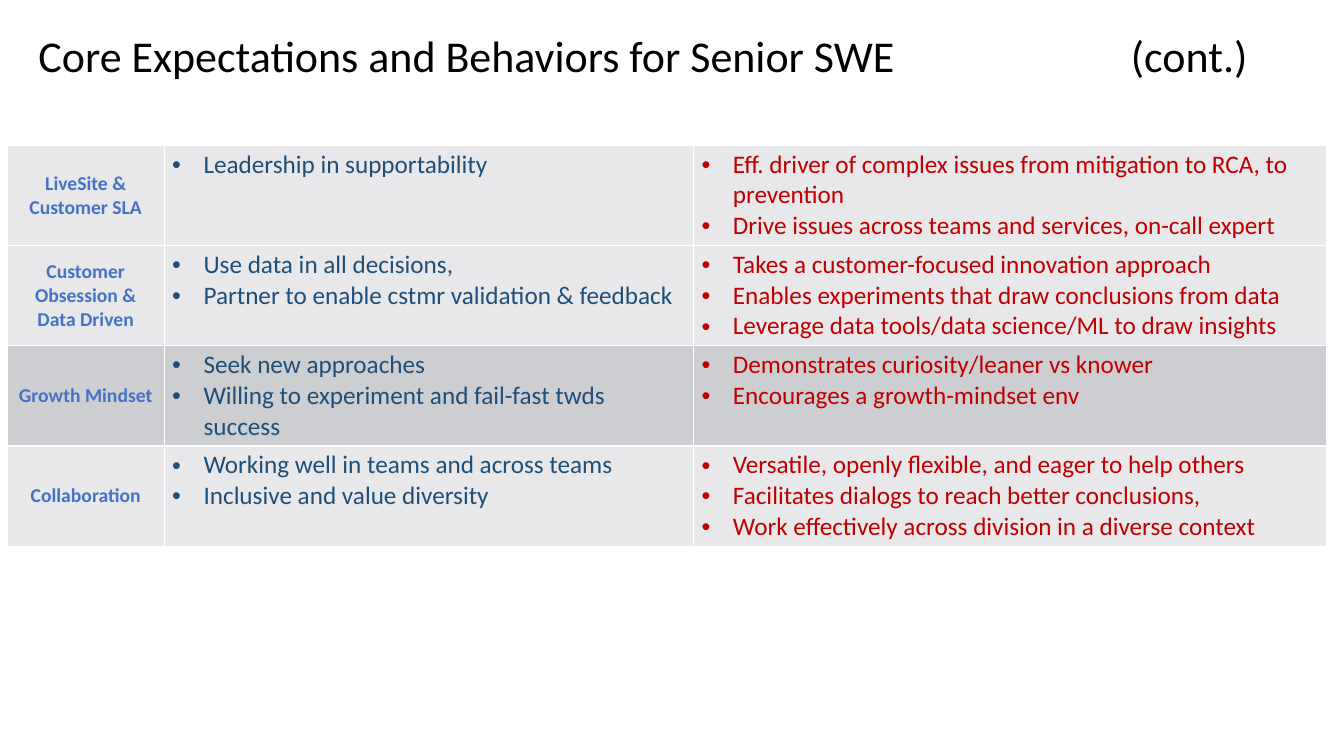
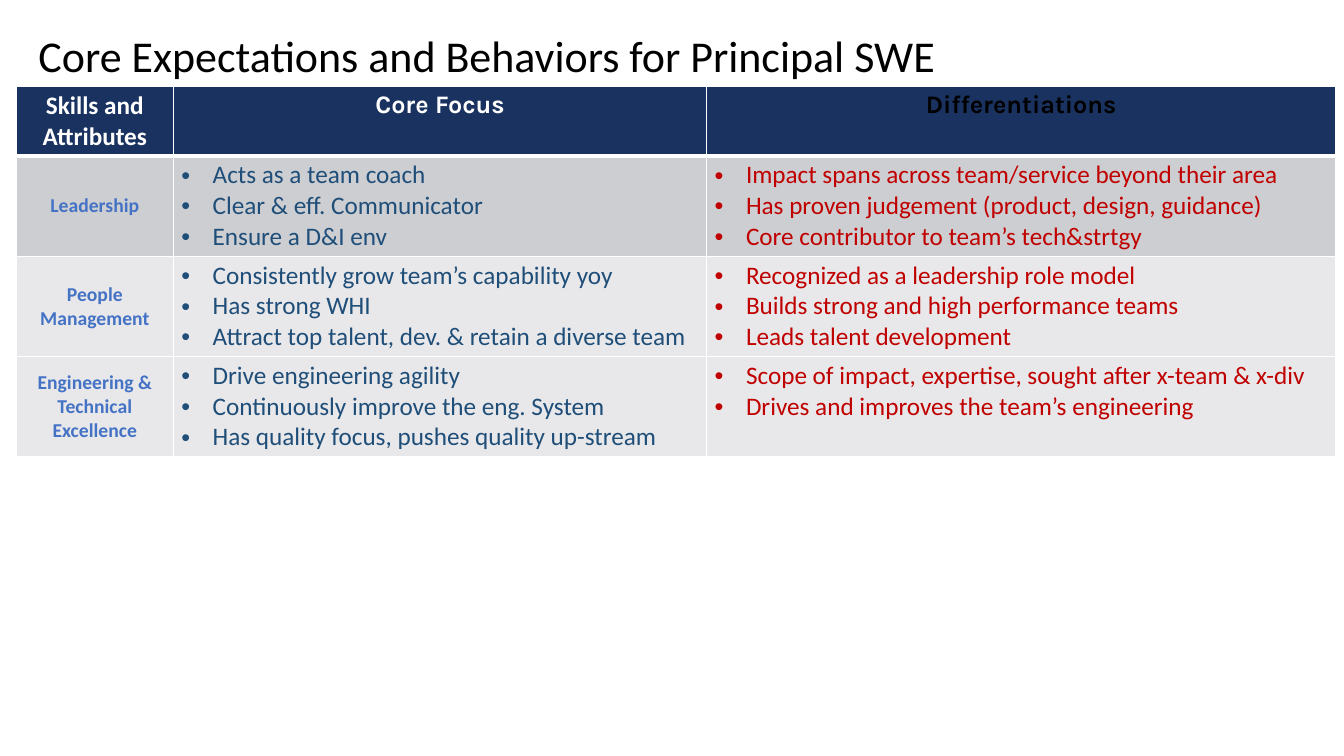
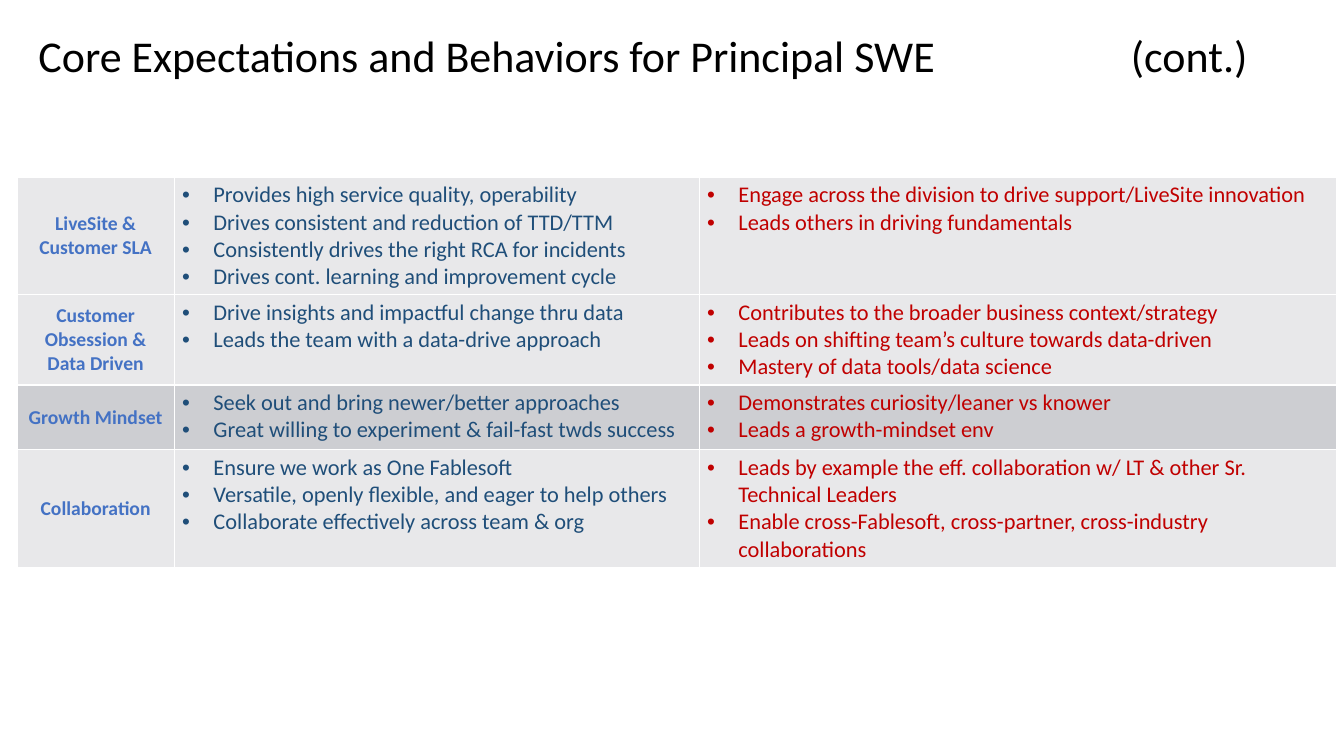
from dataclasses import dataclass

import pptx
import pptx.dml.color
import pptx.enum.text
import pptx.oxml
import pptx.oxml.ns
import pptx.presentation
import pptx.slide
import pptx.table
import pptx.text.text
import pptx.util
from lxml import etree
from pptx.util import Cm

COLORS = {
    "title": "000000",
    "navy": "1A3260",
    "white": "FFFFFF",
    "skill": "4472C4",
    "core": "1F4E79",
    "differentiation": "C00000",
    "light": "E8E8EA",
    "dark": "CDCED2",
}
BODY_FONT = "Calibri"
HEADER_FONT = "Karla"
SLIDE_WIDTH, SLIDE_HEIGHT = 33.87, 19.05
TABLE_WIDTH, SKILL_WIDTH = 33.25, 3.96
BULLET_INDENT = 0.79
CONTINUED_TAB = 27.53
CONTINUED_HEIGHTS = (1.5, 1.93, 1.63, 1.4)
HEADER_HEIGHT = 1.04
THIN, THICK = 1, 3
CENTER = pptx.enum.text.PP_ALIGN.CENTER
LEFT = pptx.enum.text.PP_ALIGN.LEFT
MIDDLE = pptx.enum.text.MSO_ANCHOR.MIDDLE
TOP = pptx.enum.text.MSO_ANCHOR.TOP


@dataclass(frozen=True)
class TextStyle:
    color: str
    size: float
    bold: bool = False
    font: str = BODY_FONT
    align: pptx.enum.text.PP_ALIGN = LEFT
    anchor: pptx.enum.text.MSO_ANCHOR = TOP
    bullet: bool = False


@dataclass(frozen=True)
class SkillRow:
    skill: list[str]
    core: list[str]
    differentiations: list[str]
    fill: str = "light"


@dataclass(frozen=True)
class SkillSlide:
    title: str
    left: float
    top: float
    height: float
    core_width: float
    row_heights: tuple[float, ...]
    rows: list[SkillRow]
    bullet_size: float = 18
    header: bool = False
    continued: bool = False


TITLE_STYLE = TextStyle("title", 31.4)
SKILL_STYLE = TextStyle("skill", 14, bold=True, align=CENTER, anchor=MIDDLE)
HEADERS = [
    ("Skills and Attributes", TextStyle("white", 18, True, BODY_FONT, CENTER)),
    ("Core Focus", TextStyle("white", 18, True, HEADER_FONT, CENTER)),
    ("Differentiations", TextStyle("title", 18, True, HEADER_FONT, CENTER)),
]

SLIDES = [
    SkillSlide(
        "Core Expectations and Behaviors for Senior SWE",
        0.18, 3.66, 9.91, 13.34, CONTINUED_HEIGHTS,
        [
            SkillRow(
                ["LiveSite & Customer SLA"],
                ["Leadership in supportability"],
                ["Eff. driver of complex issues from mitigation to RCA, to prevention",
                 "Drive issues across teams and services, on-call expert"],
            ),
            SkillRow(
                ["Customer Obsession & Data Driven"],
                ["Use data in all decisions,",
                 "Partner to enable cstmr validation & feedback"],
                ["Takes a customer-focused innovation approach",
                 "Enables experiments that draw conclusions from data",
                 "Leverage data tools/data science/ML to draw insights"],
            ),
            SkillRow(
                ["Growth Mindset"],
                ["Seek new approaches",
                 "Willing to experiment and fail-fast twds success"],
                ["Demonstrates curiosity/leaner vs knower",
                 "Encourages a growth-mindset env"],
                "dark",
            ),
            SkillRow(
                ["Collaboration"],
                ["Working well in teams and across teams",
                 "Inclusive and value diversity"],
                ["Versatile, openly flexible, and eager to help others",
                 "Facilitates dialogs to reach better conclusions,",
                 "Work effectively across division in a diverse context"],
            ),
        ],
        continued=True,
    ),
    SkillSlide(
        "Core Expectations and Behaviors for Principal SWE",
        0.41, 2.18, 9.14, 13.44, (1.65, 1.93, 2.29),
        [
            SkillRow(
                ["Leadership"],
                ["Acts as a team coach",
                 "Clear & eff. Communicator",
                 "Ensure a D&I env"],
                ["Impact spans across team/service beyond their area",
                 "Has proven judgement (product, design, guidance)",
                 "Core contributor to team’s tech&strtgy"],
                "dark",
            ),
            SkillRow(
                ["People Management"],
                ["Consistently grow team’s capability yoy",
                 "Has strong WHI",
                 "Attract top talent, dev. & retain a diverse team"],
                ["Recognized as a leadership role model",
                 "Builds strong and high performance teams",
                 "Leads talent development"],
            ),
            SkillRow(
                ["Engineering & Technical", "Excellence"],
                ["Drive engineering agility",
                 "Continuously improve the eng. System",
                 "Has quality focus, pushes quality up-stream"],
                ["Scope of impact, expertise, sought after x-team & x-div",
                 "Drives and improves the team’s engineering"],
            ),
        ],
        header=True,
    ),
    SkillSlide(
        "Core Expectations and Behaviors for Principal SWE",
        0.43, 4.47, 9.65, 13.23, CONTINUED_HEIGHTS,
        [
            SkillRow(
                ["LiveSite & Customer SLA"],
                ["Provides high service quality, operability",
                 "Drives consistent and reduction of TTD/TTM",
                 "Consistently drives the right RCA for incidents",
                 "Drives cont. learning and improvement cycle"],
                ["Engage across the division to drive support/LiveSite innovation",
                 "Leads others in driving fundamentals"],
            ),
            SkillRow(
                ["Customer Obsession & Data Driven"],
                ["Drive insights and impactful change thru data",
                 "Leads the team with a data-drive approach"],
                ["Contributes to the broader business context/strategy",
                 "Leads on shifting team’s culture towards data-driven",
                 "Mastery of data tools/data science"],
            ),
            SkillRow(
                ["Growth Mindset"],
                ["Seek out and bring newer/better approaches",
                 "Great willing to experiment & fail-fast twds success"],
                ["Demonstrates curiosity/leaner vs knower",
                 "Leads a growth-mindset env"],
                "dark",
            ),
            SkillRow(
                ["Collaboration"],
                ["Ensure we work as One Fablesoft",
                 "Versatile, openly flexible, and eager to help others",
                 "Collaborate effectively across team & org"],
                ["Leads by example the eff. collaboration w/ LT & other Sr. Technical Leaders",
                 "Enable cross-Fablesoft, cross-partner, cross-industry collaborations"],
            ),
        ],
        bullet_size=16,
        continued=True,
    ),
]


def rgb(name: str) -> pptx.dml.color.RGBColor:
    return pptx.dml.color.RGBColor.from_string(COLORS[name])


def add_child(parent: etree._Element, tag: str, **attributes: str) -> etree._Element:
    child = etree.SubElement(parent, pptx.oxml.ns.qn(tag))
    for name, value in attributes.items():
        child.set(name, value)
    return child


def add_run(paragraph: pptx.text.text._Paragraph, text: str, style: TextStyle) -> None:
    run = paragraph.add_run()
    run.text = text
    run.font.name = style.font
    run.font.size = pptx.util.Pt(style.size)
    run.font.bold = style.bold
    run.font.color.rgb = rgb(style.color)


def add_bullet(paragraph: pptx.text.text._Paragraph) -> None:
    properties = paragraph._p.get_or_add_pPr()
    properties.set("marL", str(Cm(BULLET_INDENT)))
    properties.set("indent", str(-Cm(BULLET_INDENT)))
    add_child(properties, "a:buFont", typeface="Arial")
    add_child(properties, "a:buChar", char="•")


def set_borders(cell: pptx.table._Cell, top: int, bottom: int) -> None:
    properties = cell._tc.get_or_add_tcPr()
    for side, width in (("L", THIN), ("R", THIN), ("T", top), ("B", bottom)):
        line = add_child(properties, f"a:ln{side}", w=str(pptx.util.Pt(width)))
        add_child(add_child(line, "a:solidFill"), "a:srgbClr", val=COLORS["white"])


def fill_cell(cell: pptx.table._Cell, texts: list[str], style: TextStyle, fill: str,
              top: int = THIN, bottom: int = THIN) -> None:
    set_borders(cell, top, bottom)
    cell.fill.solid()
    cell.fill.fore_color.rgb = rgb(fill)
    cell.margin_left = cell.margin_right = Cm(0.2)
    cell.margin_top = cell.margin_bottom = Cm(0.1)
    cell.vertical_anchor = style.anchor
    frame = cell.text_frame
    for index, text in enumerate(texts):
        paragraph = frame.add_paragraph() if index else frame.paragraphs[0]
        paragraph.alignment = style.align
        if style.bullet:
            add_bullet(paragraph)
        add_run(paragraph, text, style)


def format_title(slide: pptx.slide.Slide, content: SkillSlide) -> None:
    title = slide.shapes.title
    title.left, title.top = Cm(0.97), Cm(0.71)
    title.width, title.height = Cm(SLIDE_WIDTH), Cm(1.5)
    frame = title.text_frame
    frame.word_wrap = True
    frame.auto_size = pptx.enum.text.MSO_AUTO_SIZE.NONE
    frame.vertical_anchor = MIDDLE
    frame.margin_left = 0
    frame.margin_right = Cm(0.25)
    frame.margin_top = frame.margin_bottom = Cm(0.13)
    paragraph = frame.paragraphs[0]
    paragraph.alignment = LEFT
    paragraph.line_spacing = 0.9
    add_run(paragraph, content.title, TITLE_STYLE)
    if content.continued:
        tabs = add_child(paragraph._p.get_or_add_pPr(), "a:tabLst")
        add_child(tabs, "a:tab", pos=str(Cm(CONTINUED_TAB)), algn="l")
        add_run(paragraph, "\t(cont.)", TITLE_STYLE)


def add_skill_table(slide: pptx.slide.Slide, content: SkillSlide) -> None:
    heights = content.row_heights
    if content.header:
        heights = (HEADER_HEIGHT, *heights)
    graphic = slide.shapes.add_table(
        len(heights), 3, Cm(content.left), Cm(content.top), Cm(TABLE_WIDTH), Cm(content.height))
    table = graphic.table
    table.first_row = table.horz_banding = False
    widths = (SKILL_WIDTH, content.core_width, TABLE_WIDTH - SKILL_WIDTH - content.core_width)
    for column, width in zip(table.columns, widths):
        column.width = Cm(width)
    for row, height in zip(table.rows, heights):
        row.height = Cm(height)
    graphic.height = Cm(content.height)

    if content.header:
        for column, (text, style) in enumerate(HEADERS):
            fill_cell(table.cell(0, column), [text], style, "navy", bottom=THICK)
    core_style = TextStyle("core", content.bullet_size, bullet=True)
    differentiation_style = TextStyle("differentiation", content.bullet_size, bullet=True)
    for index, row in enumerate(content.rows, start=int(content.header)):
        top = THICK if content.header and index == 1 else THIN
        columns = (
            (row.skill, SKILL_STYLE),
            (row.core, core_style),
            (row.differentiations, differentiation_style),
        )
        for column, (texts, style) in enumerate(columns):
            fill_cell(table.cell(index, column), texts, style, row.fill, top=top)


def add_skill_slide(presentation: pptx.presentation.Presentation, content: SkillSlide) -> None:
    slide = presentation.slides.add_slide(presentation.slide_layouts.get_by_name("Title Only"))
    format_title(slide, content)
    add_skill_table(slide, content)


def main() -> None:
    presentation = pptx.Presentation()
    presentation.slide_width = Cm(SLIDE_WIDTH)
    presentation.slide_height = Cm(SLIDE_HEIGHT)
    for content in SLIDES:
        add_skill_slide(presentation, content)
    presentation.save("out.pptx")


if __name__ == "__main__":
    main()
